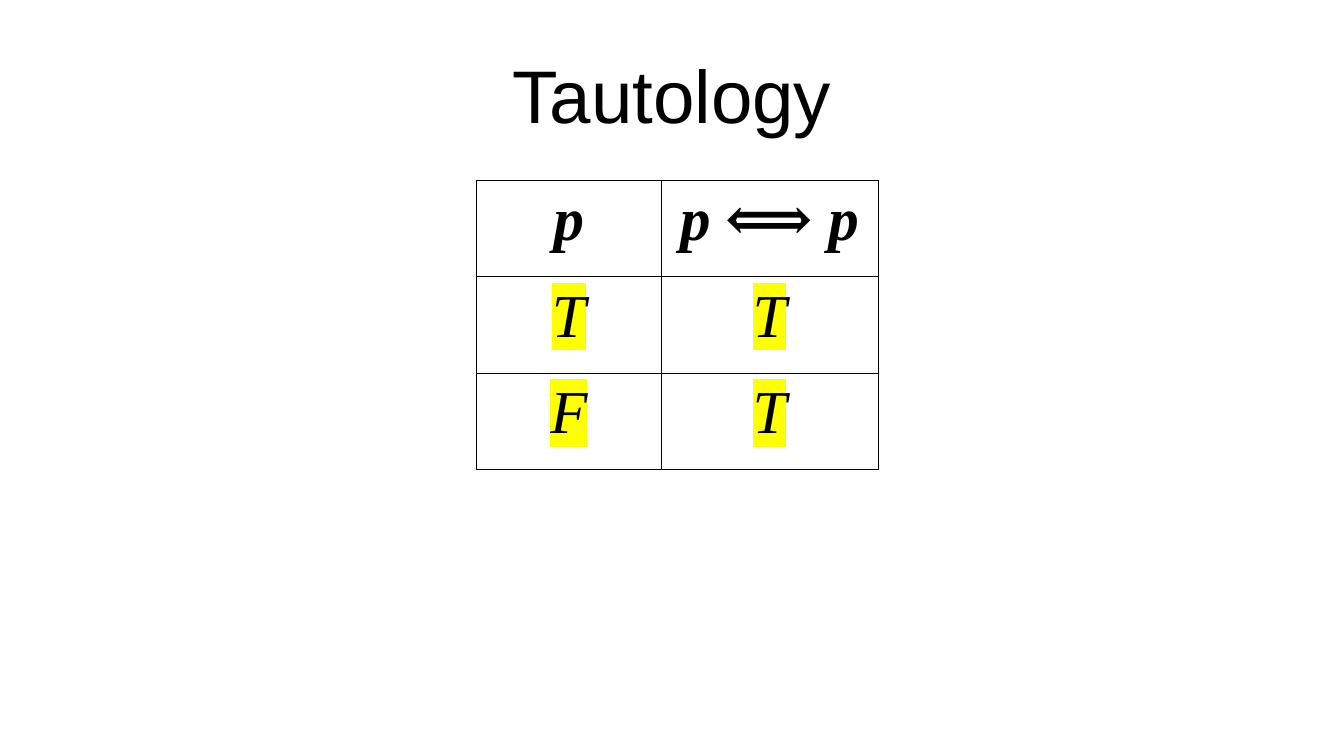
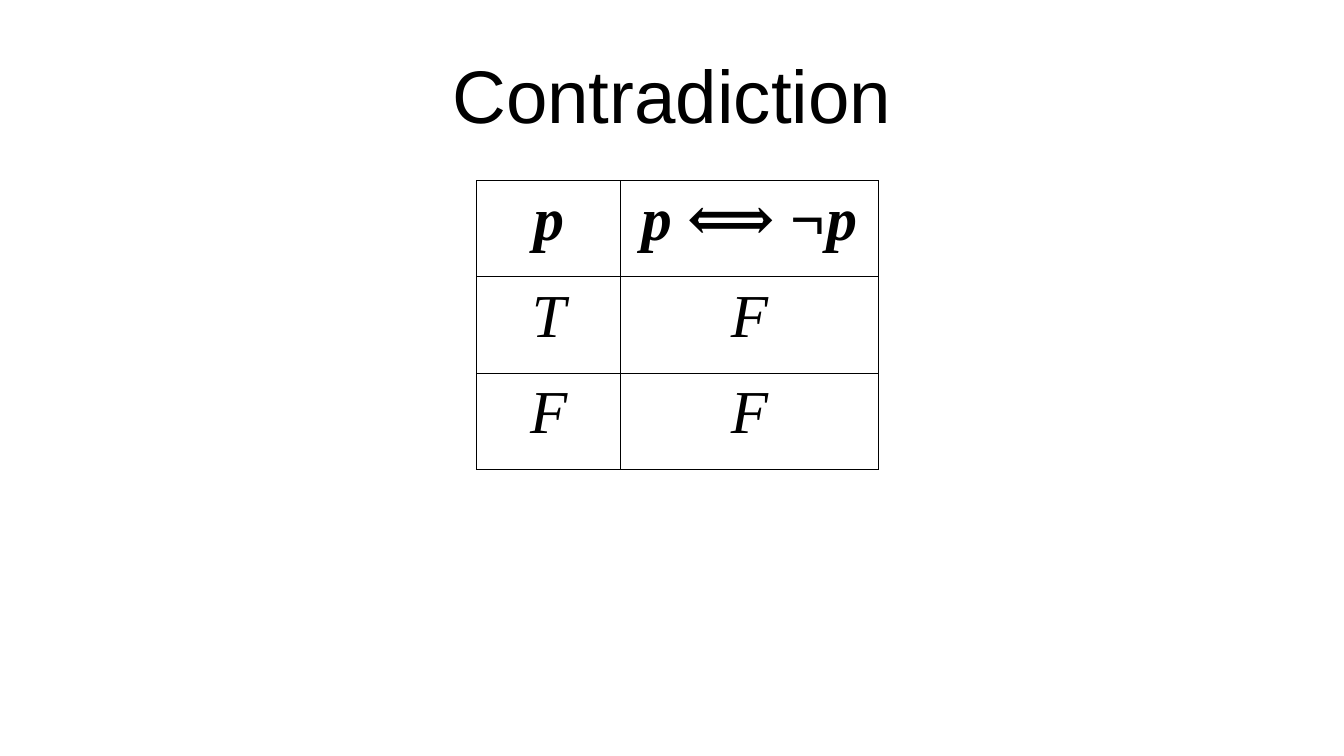
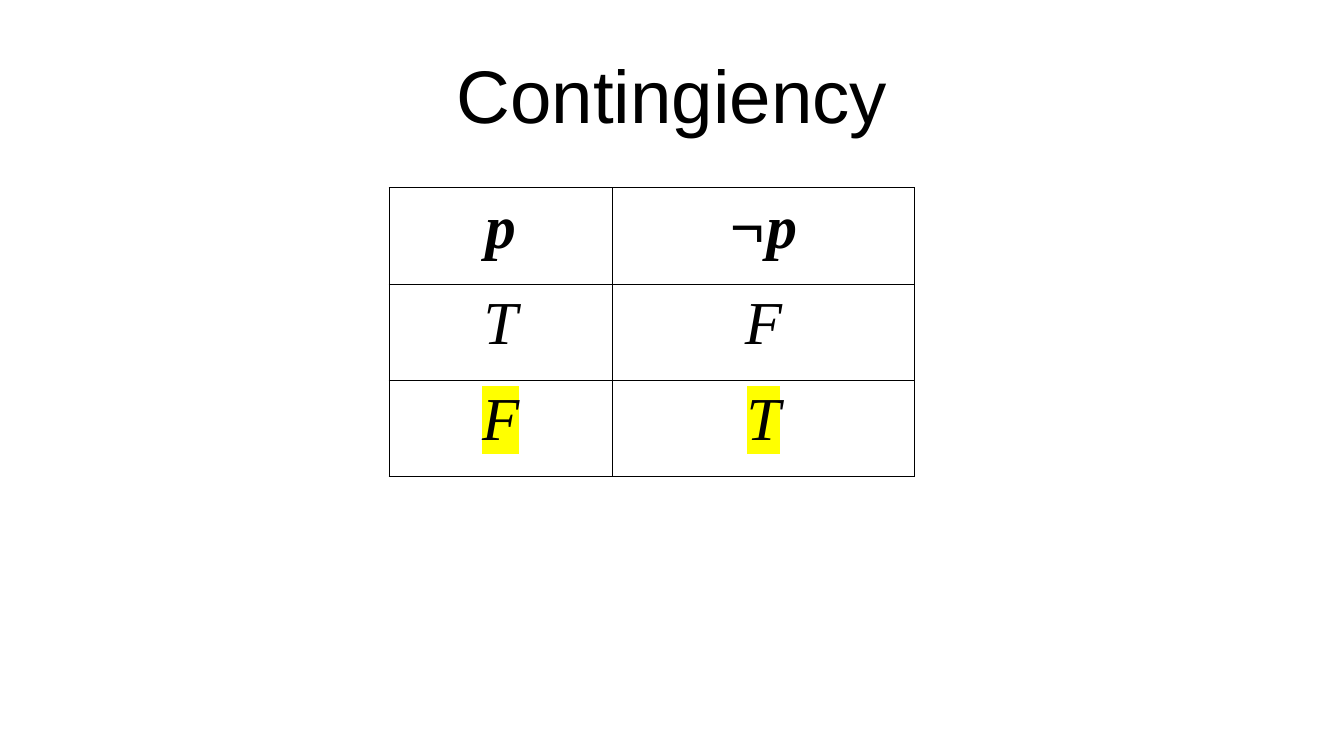
"""Build three slides with truth tables for logical statements."""
from dataclasses import dataclass

import lxml.etree
import pptx
import pptx.dml.color
import pptx.enum.text
import pptx.oxml.ns
import pptx.slide
import pptx.table
import pptx.text.text
import pptx.util

Inches = pptx.util.Inches
Pt = pptx.util.Pt
qn = pptx.oxml.ns.qn

COLORS = {"ink": "000000", "paper": "FFFFFF", "marker": "FFFF00"}
TITLE_FONT = "Arial"
TABLE_FONT = "Times New Roman"
ROW_HEIGHT = 0.79
BORDER_WIDTH = Pt(0.57)


@dataclass(frozen=True)
class TruthTable:
    title: str
    left: float
    top: float
    col_widths: tuple[float, ...]
    rows: tuple[tuple[str, ...], ...]
    marked_rows: tuple[int, ...] = ()


TABLES = (
    TruthTable("Tautology", 3.91, 1.48, (1.51, 1.78),
               (("p", "p ⟺ p"), ("T", "T"), ("F", "T")), (1, 2)),
    TruthTable("Contradiction", 3.91, 1.48, (1.18, 2.11),
               (("p", "p ⟺ ¬p"), ("T", "F"), ("F", "F"))),
    TruthTable("Contingiency", 3.19, 1.54, (1.83, 2.48),
               (("p", "¬p"), ("T", "F"), ("F", "T")), (2,)),
)


def rgb(name: str) -> pptx.dml.color.RGBColor:
    return pptx.dml.color.RGBColor.from_string(COLORS[name])


def set_text(tf: pptx.text.text.TextFrame, text: str, font: str, size: int,
             bold: bool = False, italic: bool = False) -> pptx.text.text._Run:
    tf.text = text
    p = tf.paragraphs[0]
    p.alignment = pptx.enum.text.PP_ALIGN.CENTER
    r = p.runs[0]
    r.font.name = font
    r.font.size = Pt(size)
    r.font.bold = bold
    r.font.italic = italic
    r.font.color.rgb = rgb("ink")
    return r


def add_color(parent: lxml.etree._Element, name: str) -> None:
    lxml.etree.SubElement(parent, qn("a:srgbClr"), val=COLORS[name])


def highlight(r: pptx.text.text._Run) -> None:
    fill = r.font._element.find(qn("a:solidFill"))
    mark = fill.makeelement(qn("a:highlight"))
    fill.addnext(mark)
    add_color(mark, "marker")


def set_borders(cell: pptx.table._Cell) -> None:
    tc_pr = cell._tc.get_or_add_tcPr()
    for side in ("a:lnL", "a:lnR", "a:lnT", "a:lnB"):
        line = lxml.etree.SubElement(tc_pr, qn(side), w=str(int(BORDER_WIDTH)))
        add_color(lxml.etree.SubElement(line, qn("a:solidFill")), "ink")


def set_title(s: pptx.slide.Slide, text: str) -> None:
    sp = s.shapes.title
    sp.left, sp.top = Inches(0.55), Inches(0.25)
    sp.width, sp.height = Inches(9.92), Inches(1.04)
    tf = sp.text_frame
    tf.margin_left = tf.margin_right = tf.margin_top = tf.margin_bottom = 0
    tf.vertical_anchor = pptx.enum.text.MSO_ANCHOR.MIDDLE
    tf.auto_size = pptx.enum.text.MSO_AUTO_SIZE.NONE
    set_text(tf, text, TITLE_FONT, 44)


def add_truth_table(s: pptx.slide.Slide, spec: TruthTable) -> None:
    n_rows, n_cols = len(spec.rows), len(spec.col_widths)
    table = s.shapes.add_table(
        n_rows, n_cols, Inches(spec.left), Inches(spec.top),
        Inches(sum(spec.col_widths)), Inches(n_rows * ROW_HEIGHT)).table
    table.first_row = table.horz_banding = False
    for column, width in zip(table.columns, spec.col_widths):
        column.width = Inches(width)
    for i, values in enumerate(spec.rows):
        table.rows[i].height = Inches(ROW_HEIGHT)
        for j, value in enumerate(values):
            cell = table.cell(i, j)
            set_borders(cell)
            cell.fill.background()
            r = set_text(cell.text_frame, value, TABLE_FONT, 36,
                         bold=i == 0, italic=True)
            if i in spec.marked_rows:
                highlight(r)


def main() -> None:
    prs = pptx.Presentation()
    prs.slide_width, prs.slide_height = Inches(11.02), Inches(6.2)
    fill = prs.slide_master.background.fill
    fill.solid()
    fill.fore_color.rgb = rgb("paper")
    for spec in TABLES:
        s = prs.slides.add_slide(prs.slide_layouts.get_by_name("Title Only"))
        set_title(s, spec.title)
        add_truth_table(s, spec)
    prs.save("out.pptx")


if __name__ == "__main__":
    main()
